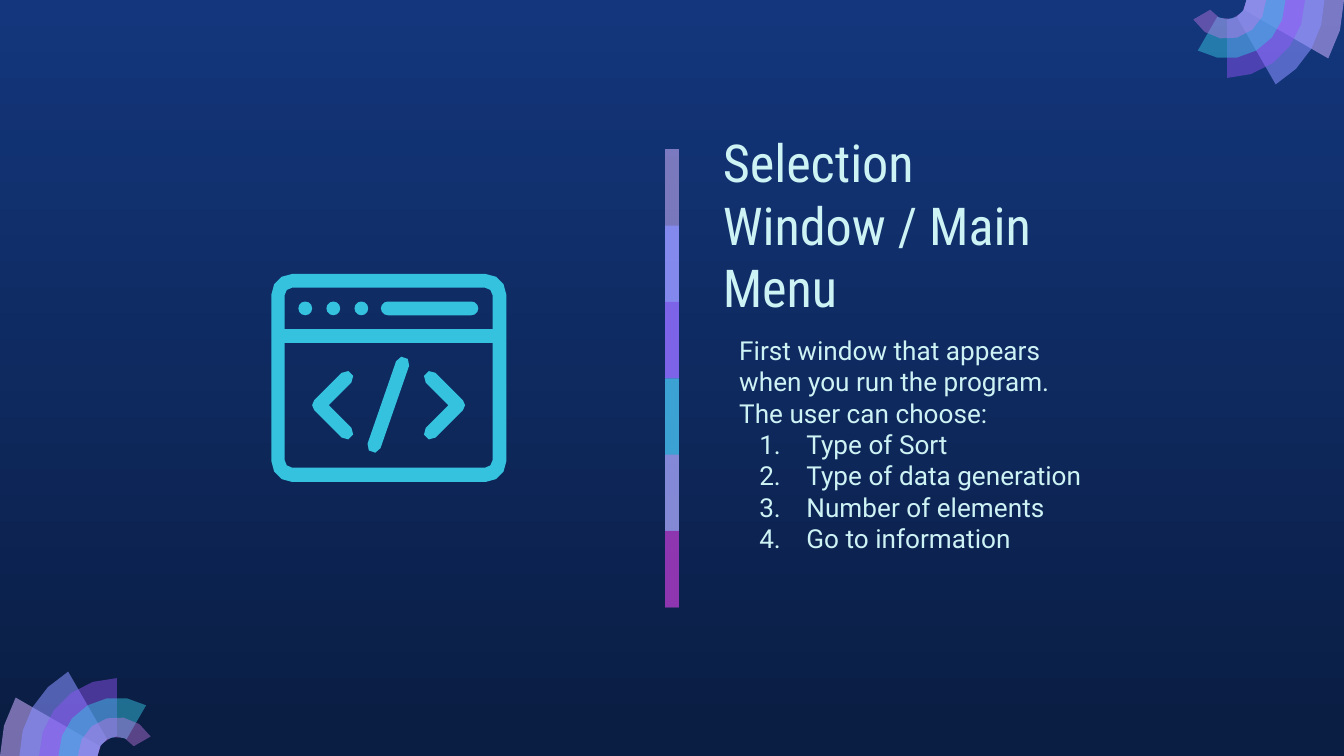
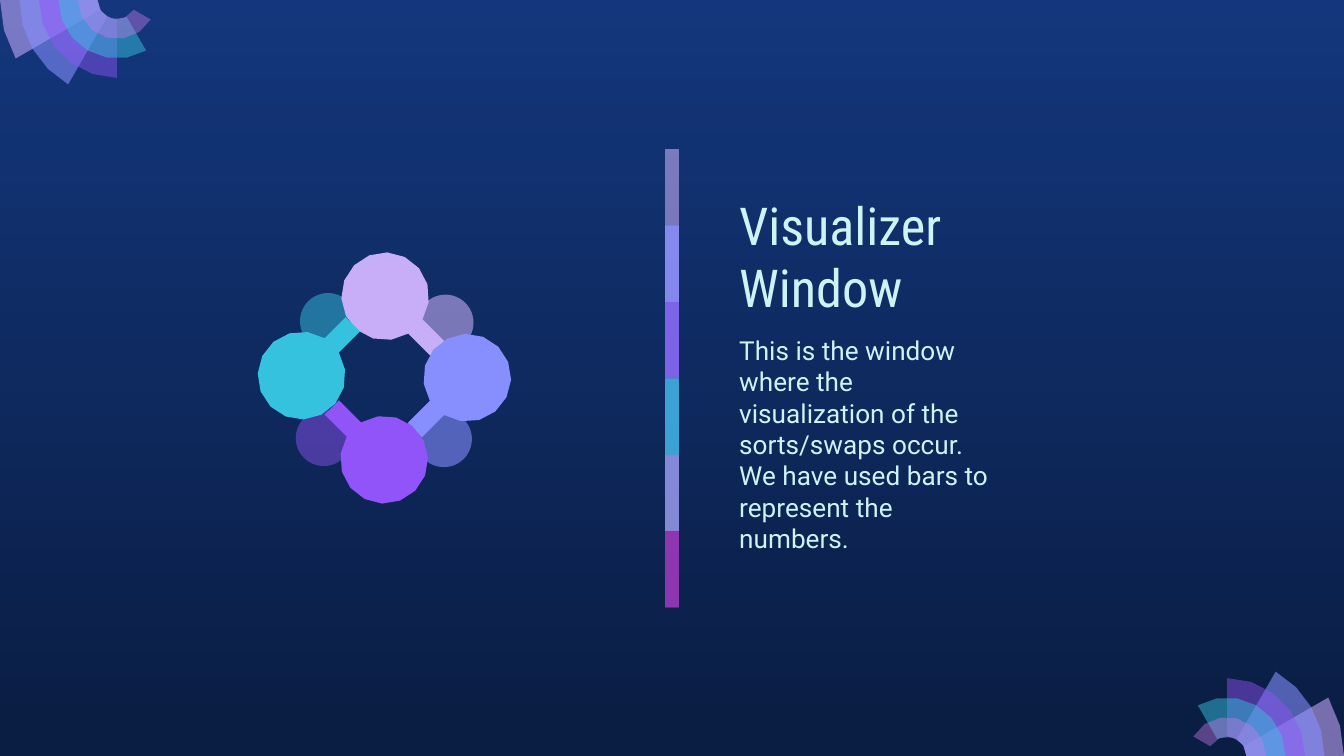
import math
from dataclasses import dataclass

import lxml.etree
import pptx
import pptx.dml.color
import pptx.enum.shapes
import pptx.enum.text
import pptx.oxml.ns
import pptx.util

Cm = pptx.util.Cm
Point = tuple[float, float]
ShapeKind = pptx.enum.shapes.MSO_SHAPE

# Shared look; all lengths are centimetres
SLIDE_WIDTH, SLIDE_HEIGHT = 25.4, 14.29
BACKGROUND = ("13367C", "0A1D42")
TEXT_COLOUR = "CEF3F5"
LILAC, PERIWINKLE, VIOLET, TEAL = "C8AEF8", "878FFF", "9154F8", "35C2DF"
ORCHID, MAGENTA = "CA7BEB", "972CB4"
TITLE_FONT, BODY_FONT = "Roboto Condensed", "Roboto"
CURVE_TOLERANCE = 0.02


@dataclass(frozen=True)
class Paint:
    colour: str
    opacity: int = 100


@dataclass(frozen=True)
class Disc:
    centre: Point
    paint: Paint


@dataclass(frozen=True)
class Node:
    centre: Point
    arm_angle: float
    arm_reach: float
    colour: str


@dataclass(frozen=True)
class Page:
    title: str
    title_left: float
    title_width: float
    body_width: float
    paragraphs: tuple[str, ...]
    numbered: tuple[str, ...] = ()


DIVIDER_PAINTS = (Paint(LILAC, 58), Paint(PERIWINKLE, 74), Paint(VIOLET, 53),
                  Paint(TEAL, 76), Paint(ORCHID, 56), Paint(MAGENTA, 74))
FAN_PAINTS = (Paint("C8ACFD", 57), Paint(PERIWINKLE, 58), Paint(VIOLET, 46),
              Paint(TEAL, 49), Paint(ORCHID, 42))

MENU_PAGE = Page(
    "Selection Window / Main Menu", 13.41, 6.91, 7.24,
    ("First window that appears when you run the program.",
     "The user can choose:"),
    ("Type of Sort", "Type of data generation", "Number of elements",
     "Go to information"))
VISUALIZER_PAGE = Page(
    "Visualizer Window", 13.72, 5.28, 5.28,
    ("This is the window where the visualization of the sorts/swaps occur.",
     "We have used bars to represent the numbers."))

DISC_RADIUS = 0.53
DISCS = (Disc((6.2, 6.07), Paint(TEAL, 49)),
         Disc((8.42, 6.1), Paint(LILAC, 58)),
         Disc((8.39, 8.3), Paint(PERIWINKLE, 58)),
         Disc((6.12, 8.28), Paint(VIOLET, 46)))
NODE_RADIUS, ARM_HALF_WIDTH = 0.83, 0.19
NODES = (Node((7.28, 5.6), 45, 1.4, LILAC),
         Node((8.83, 7.14), 135, 1.4, PERIWINKLE),
         Node((7.26, 8.69), 225, 1.4, VIOLET),
         Node((5.7, 7.1), 315, 1.37, TEAL))


def rgb(colour: str) -> pptx.dml.color.RGBColor:
    return pptx.dml.color.RGBColor.from_string(colour)


# Geometry: angles in degrees, clockwise from the right
def polar(centre: Point, radius: float, angle: float) -> Point:
    turn = math.radians(angle)
    return (centre[0] + radius * math.cos(turn),
            centre[1] + radius * math.sin(turn))


def arc(centre: Point, radius: float, start: float, end: float) -> list[Point]:
    if radius == 0:
        return [centre]
    widest = math.degrees(2 * math.acos(1 - CURVE_TOLERANCE / radius))
    steps = math.ceil(abs(end - start) / widest)
    return [polar(centre, radius, start + (end - start) * step / steps)
            for step in range(steps + 1)]


def rounded_box(left: float, top: float, right: float, bottom: float,
                top_radius: float, bottom_radius: float) -> list[Point]:
    upper, lower = top + top_radius, bottom - bottom_radius
    return (arc((left + top_radius, upper), top_radius, 180, 270)
            + arc((right - top_radius, upper), top_radius, 270, 360)
            + arc((right - bottom_radius, lower), bottom_radius, 0, 90)
            + arc((left + bottom_radius, lower), bottom_radius, 90, 180))


# Drawing
def paint_shape(shape, paint: Paint) -> None:
    shape.shadow.inherit = False
    shape.line.fill.background()
    shape.fill.solid()
    shape.fill.fore_color.rgb = rgb(paint.colour)
    if paint.opacity < 100:
        colour = next(shape._element.spPr.iter(pptx.oxml.ns.qn("a:srgbClr")))
        lxml.etree.SubElement(colour, pptx.oxml.ns.qn("a:alpha"),
                              val=str(paint.opacity * 1000))


def add_preset(slide, kind, left: float, top: float, width: float,
               height: float, paint: Paint):
    shape = slide.shapes.add_shape(kind, Cm(left), Cm(top), Cm(width), Cm(height))
    paint_shape(shape, paint)
    return shape


def add_disc(slide, centre: Point, radius: float, paint: Paint) -> None:
    add_preset(slide, ShapeKind.OVAL, centre[0] - radius, centre[1] - radius,
               2 * radius, 2 * radius, paint)


def add_outline(slide, paint: Paint, *contours: list[Point]) -> None:
    scaled = [[(Cm(x), Cm(y)) for x, y in contour] for contour in contours]
    builder = slide.shapes.build_freeform(*scaled[0][0])
    builder.add_line_segments(scaled[0][1:], close=True)
    for contour in scaled[1:]:
        builder.move_to(*contour[0])
        builder.add_line_segments(contour[1:], close=True)
    paint_shape(builder.convert_to_shape(), paint)


def add_layout_divider(slide) -> None:
    """Draw the divider, then hand it to the layout that all slides share."""
    step = 8.66 / len(DIVIDER_PAINTS)
    last = len(DIVIDER_PAINTS) - 1
    for index, paint in enumerate(DIVIDER_PAINTS):
        height = step if index == last else 2 * step
        band = add_preset(slide, ShapeKind.RECTANGLE, 12.57,
                          2.82 + step * index, 0.26, height, paint)
        band._element.nvSpPr.cNvPr.set("id", str(100 + index))
        slide.slide_layout.shapes._spTree.append(band._element)


def add_fan(slide, on_right: bool, on_top: bool) -> None:
    radius = 2.21
    ring = radius / 6
    centre = (radius, SLIDE_HEIGHT)
    for index, paint in enumerate(FAN_PAINTS):
        end = 210 + 30 * index
        sector = (arc(centre, ring * (6 - index), 180, end)
                  + arc(centre, ring, end, 180))
        add_outline(slide, paint, [
            (SLIDE_WIDTH - x if on_right else x, SLIDE_HEIGHT - y if on_top else y)
            for x, y in sector])


# Text
def place_text(shape, left: float, top: float, width: float, height: float,
               anchor) -> None:
    shape.left, shape.top = Cm(left), Cm(top)
    shape.width, shape.height = Cm(width), Cm(height)
    frame = shape.text_frame
    frame.word_wrap = True
    frame.auto_size = pptx.enum.text.MSO_AUTO_SIZE.NONE
    frame.vertical_anchor = anchor
    frame.margin_left = frame.margin_right = Cm(0.25)
    frame.margin_top = frame.margin_bottom = Cm(0.25)


def format_paragraph(paragraph, font_name: str, size: int) -> None:
    paragraph.alignment = pptx.enum.text.PP_ALIGN.LEFT
    paragraph.space_before = pptx.util.Pt(0)
    for run in paragraph.runs:
        run.font.name = font_name
        run.font.size = pptx.util.Pt(size)
        run.font.color.rgb = rgb(TEXT_COLOUR)


def set_bullet(paragraph, numbered: bool) -> None:
    qn = pptx.oxml.ns.qn
    properties = paragraph._p.get_or_add_pPr()
    properties.set("marL", str(Cm(1.27 if numbered else 0)))
    properties.set("indent", str(Cm(-0.89 if numbered else 0)))
    if numbered:
        bullet_colour = lxml.etree.SubElement(properties, qn("a:buClr"))
        lxml.etree.SubElement(bullet_colour, qn("a:srgbClr"), val=TEXT_COLOUR)
        lxml.etree.SubElement(properties, qn("a:buFont"), typeface=BODY_FONT)
        lxml.etree.SubElement(properties, qn("a:buAutoNum"), type="arabicPeriod")
    else:
        lxml.etree.SubElement(properties, qn("a:buNone"))


def add_page(presentation, layout, page: Page):
    slide = presentation.slides.add_slide(layout)
    title, body = slide.shapes.title, slide.placeholders[1]

    place_text(title, page.title_left, 3.58, page.title_width, 2.69,
               pptx.enum.text.MSO_ANCHOR.BOTTOM)
    title.text_frame.text = page.title
    format_paragraph(title.text_frame.paragraphs[0], TITLE_FONT, 28)

    place_text(body, 13.72, 6.07, page.body_width, 5,
               pptx.enum.text.MSO_ANCHOR.TOP)
    body.text_frame.text = "\n".join(page.paragraphs + page.numbered)
    for index, paragraph in enumerate(body.text_frame.paragraphs):
        format_paragraph(paragraph, BODY_FONT, 14)
        set_bullet(paragraph, index >= len(page.paragraphs))
    return slide


# Code window icon
def add_chevron(slide, corner: Point, facing: float, paint: Paint) -> None:
    radius, reach = 0.13, 0.52
    back = -reach if facing == 0 else reach
    upper = (corner[0] + back, corner[1] + back)
    lower = (corner[0] + back, corner[1] - back)
    add_outline(slide, paint,
                arc(upper, radius, facing + 135, facing + 315)
                + arc(corner, radius, facing - 45, facing + 45)
                + arc(lower, radius, facing + 45, facing + 225)
                + [polar(corner, radius * math.sqrt(2), facing + 180)])


def add_code_window(slide) -> None:
    paint = Paint(TEAL)
    add_outline(slide, paint,
                rounded_box(5.13, 5.18, 9.57, 9.11, 0.39, 0.39),
                rounded_box(5.38, 5.44, 9.31, 6.22, 0.14, 0),
                rounded_box(5.38, 6.48, 9.31, 8.84, 0, 0.14))
    for index in range(3):
        add_disc(slide, (5.77 + 0.53 * index, 5.83), 0.13, paint)
    address_bar = add_preset(slide, ShapeKind.ROUNDED_RECTANGLE,
                             7.2, 5.7, 1.84, 0.26, paint)
    address_bar.adjustments[0] = 0.5

    add_chevron(slide, (8.66, 7.66), 0, paint)
    add_chevron(slide, (6.03, 7.66), 180, paint)
    top, bottom = (7.61, 6.87), (7.07, 8.43)
    slope = math.degrees(math.atan2(bottom[1] - top[1], bottom[0] - top[0]))
    add_outline(slide, paint, arc(top, 0.13, slope + 90, slope + 270)
                + arc(bottom, 0.13, slope - 90, slope + 90))


# Ring of linked nodes
def add_node(slide, node: Node) -> None:
    gap = math.degrees(math.asin(ARM_HALF_WIDTH / NODE_RADIUS))
    arm_end = polar(node.centre, node.arm_reach, node.arm_angle)
    add_outline(slide, Paint(node.colour),
                arc(node.centre, NODE_RADIUS, node.arm_angle + gap,
                    node.arm_angle + 360 - gap)
                + [polar(arm_end, ARM_HALF_WIDTH, node.arm_angle + side)
                   for side in (-90, 90)])


def main() -> None:
    presentation = pptx.Presentation()
    presentation.slide_width = Cm(SLIDE_WIDTH)
    presentation.slide_height = Cm(SLIDE_HEIGHT)
    layout = presentation.slide_layouts[1]
    fill = layout.background.fill
    fill.gradient()
    fill.gradient_angle = 270
    for stop, colour in zip(fill.gradient_stops, BACKGROUND):
        stop.color.rgb = rgb(colour)

    # Selection window
    slide = add_page(presentation, layout, MENU_PAGE)
    add_layout_divider(slide)
    add_code_window(slide)
    add_fan(slide, on_right=False, on_top=False)
    add_fan(slide, on_right=True, on_top=True)

    # Visualizer window
    slide = add_page(presentation, layout, VISUALIZER_PAGE)
    for disc in DISCS:
        add_disc(slide, disc.centre, DISC_RADIUS, disc.paint)
    for node in NODES:
        add_node(slide, node)
    add_fan(slide, on_right=True, on_top=False)
    add_fan(slide, on_right=False, on_top=True)

    presentation.save("out.pptx")


if __name__ == "__main__":
    main()
